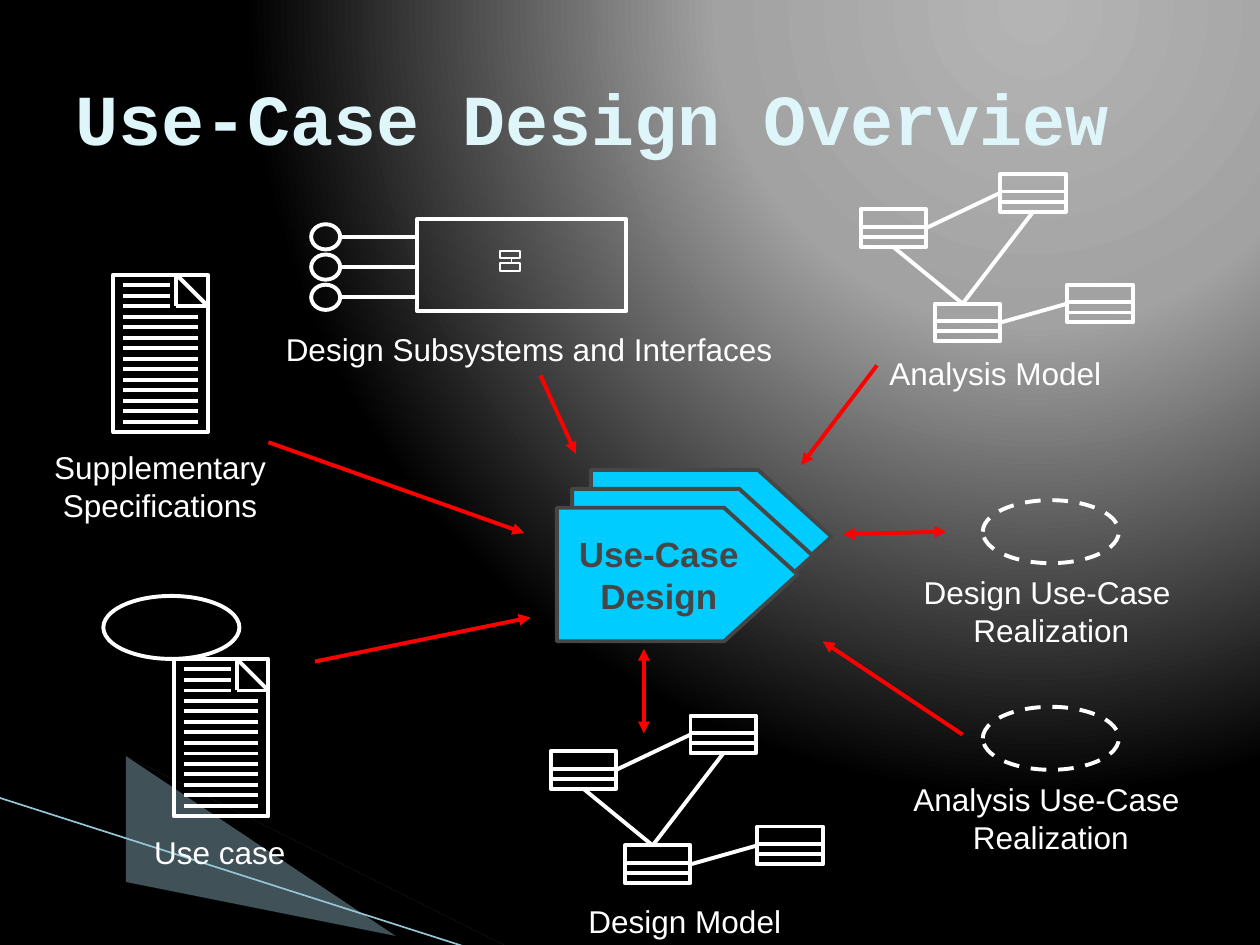
from pptx import Presentation
from pptx.dml.color import RGBColor
from pptx.enum.dml import MSO_LINE
from pptx.enum.shapes import MSO_CONNECTOR, MSO_SHAPE
from pptx.enum.text import MSO_ANCHOR, PP_ALIGN
from pptx.oxml import parse_xml
from pptx.oxml.ns import nsdecls, qn
from pptx.util import Inches, Pt

STRAIGHT = MSO_CONNECTOR.STRAIGHT
RECTANGLE, OVAL, PENTAGON = MSO_SHAPE.RECTANGLE, MSO_SHAPE.OVAL, MSO_SHAPE.PENTAGON
DASH = MSO_LINE.DASH
MIDDLE, TOP = MSO_ANCHOR.MIDDLE, MSO_ANCHOR.TOP
CENTER, LEFT = PP_ALIGN.CENTER, PP_ALIGN.LEFT
TOP_SIDE, LEFT_SIDE, BOTTOM_SIDE, RIGHT_SIDE = range(4)

WHITE = RGBColor(0xFF, 0xFF, 0xFF)
BLACK = RGBColor(0, 0, 0)
RED = RGBColor(0xFF, 0, 0)
CYAN = RGBColor(0, 0xCC, 0xFF)
GRAY = RGBColor(0x46, 0x46, 0x46)
PALE_BLUE = RGBColor(0xDE, 0xF5, 0xFA)
BAND_BLUE = RGBColor(0xA0, 0xCB, 0xDC)
EDGE_BLUE = RGBColor(0x97, 0xC5, 0xD8)

LABEL_FONT = {"name": "Arial", "size": Pt(18), "bold": False}
PROCESS_FONT = {"name": "Arial", "size": Pt(20), "bold": True}
TITLE_FONT = {"name": "Courier New", "size": Pt(41), "bold": True}
STROKE = 2.25


def set_background(slide):
    slide.background.fill.gradient()
    gradient = slide.element.find(".//" + qn("a:gradFill"))
    stops = "".join(
        f'<a:gs pos="{position * 1000}"><a:srgbClr val="{color}"/></a:gs>'
        for position, color in ((0, "B4B4B4"), (40, "A2A2A2"), (100, "000000")))
    gradient.getparent().replace(gradient, parse_xml(
        f'<a:gradFill {nsdecls("a")} rotWithShape="1"><a:gsLst>{stops}</a:gsLst>'
        '<a:path path="circle"><a:fillToRect l="65000" t="0" r="0" b="98000"/></a:path>'
        '</a:gradFill>'))


def style_shape(shape, fill, line, width):
    shape.shadow.inherit = False
    if fill is None:
        shape.fill.background()
    else:
        shape.fill.solid()
        shape.fill.fore_color.rgb = fill
    if line is None:
        shape.line.fill.background()
    else:
        shape.line.color.rgb = line
        shape.line.width = Pt(width)


def add_box(shapes, kind, left, top, width, height, fill=None, line=WHITE, stroke=STROKE):
    shape = shapes.add_shape(kind, Inches(left), Inches(top), Inches(width), Inches(height))
    style_shape(shape, fill, line, stroke)
    return shape


def add_outline(shapes, points, close, fill=None, line=None, stroke=1):
    builder = shapes.build_freeform(*points[0], scale=Inches(1))
    builder.add_line_segments(points[1:], close=close)
    shape = builder.convert_to_shape()
    style_shape(shape, fill, line, stroke)
    return shape


def add_line(shapes, start, end, color=WHITE, stroke=STROKE, arrows=()):
    connector = shapes.add_connector(STRAIGHT, *(Inches(value) for value in start + end))
    connector.line.color.rgb = color
    connector.line.width = Pt(stroke)
    properties = connector.element.spPr
    for arrow in arrows:
        properties.find(qn("a:ln")).append(
            parse_xml(f'<a:{arrow} {nsdecls("a")} type="triangle"/>'))
    properties.append(parse_xml(f'<a:effectLst {nsdecls("a")}/>'))
    return connector


def write_text(shape, lines, font, color, anchor=TOP, alignment=CENTER, wrap=False):
    frame = shape.text_frame
    frame.word_wrap = wrap
    frame.vertical_anchor = anchor
    frame.text = "\n".join(lines)
    for paragraph in frame.paragraphs:
        paragraph.alignment = alignment
        for name, value in font.items():
            setattr(paragraph.font, name, value)
        paragraph.font.color.rgb = color


def add_label(shapes, left, top, width, *lines):
    height = 0.1 + 0.3 * len(lines)
    box = shapes.add_textbox(Inches(left), Inches(top), Inches(width), Inches(height))
    write_text(box, lines, LABEL_FONT, WHITE)


def add_document(shapes, left, top):
    width, height, fold, rows = 0.75, 1.25, 0.25, 14
    right, crease = left + width, left + width - fold
    add_box(shapes, RECTANGLE, left, top, width, height)
    # Folded corner
    add_line(shapes, (crease, top), (right, top + fold))
    add_line(shapes, (crease, top), (crease, top + fold))
    add_line(shapes, (right, top + fold), (crease, top + fold))
    # Lines of writing, the first three stopping short of the fold
    for row in range(1, rows + 1):
        y = top + row * height / (rows + 1)
        end = crease - 0.05 if row <= 3 else right - 0.08
        add_line(shapes, (left + 0.08, y), (end, y))


def add_class_model(shapes, left, top):
    width, height = 0.52, 0.3
    classes = []
    for x, y in ((0, 0.28), (1.11, 0), (0.59, 1.03), (1.64, 0.88)):
        x, y = left + x, top + y
        classes.append(add_box(shapes, RECTANGLE, x, y, width, height))
        for offset in (0.14, 0.22):
            add_line(shapes, (x, y + offset), (x + width, y + offset))
    first, second, third, fourth = classes
    # Associations
    for source, target in ((first, second), (third, fourth)):
        connector = add_line(shapes, (left, top), (left, top))
        connector.begin_connect(source, RIGHT_SIDE)
        connector.end_connect(target, LEFT_SIDE)
    for target in (first, second):
        junction = (left + 0.81, top + 1.03)
        add_line(shapes, junction, junction).end_connect(target, BOTTOM_SIDE)


def add_realization(shapes, top, label_left, label_width, name):
    add_box(shapes, OVAL, 7.8, top, 1.08, 0.5).line.dash_style = DASH
    add_label(shapes, label_left, top + 0.53, label_width, name + " ", "Realization")


def add_subsystem(shapes):
    add_box(shapes, RECTANGLE, 3.31, 1.74, 1.66, 0.73)
    for row in range(3):
        y = 1.88 + 0.24 * row
        add_box(shapes, OVAL, 2.47, y - 0.1, 0.23, 0.2)
        add_line(shapes, (2.7, y), (3.31, y))
    # Component icon
    for y in (1.99, 2.09):
        add_box(shapes, RECTANGLE, 3.97, y, 0.16, 0.06, stroke=1)
    add_outline(shapes, [(4.05, 1.99), (4.05, 1.95), (4.29, 1.95), (4.29, 2.19),
                         (4.06, 2.19), (4.06, 2.16)], False, line=WHITE)
    add_line(shapes, (4.06, 2.05), (4.06, 2.08), stroke=1)
    add_label(shapes, 2.17, 2.57, 4.06, "Design Subsystems and Interfaces")


def add_corner_bands(shapes):
    band = add_outline(shapes, [(0.55, 6.51), (5.95, 7.51), (4.56, 7.51), (0.55, 6.5)],
                       True, BAND_BLUE)
    color = band.element.spPr.find(qn("a:solidFill")).find(qn("a:srgbClr"))
    color.append(parse_xml(f'<a:alpha {nsdecls("a")} val="40000"/>'))
    add_outline(shapes, [(0.53, 6.49), (4.57, 7.51), (3.72, 7.52), (0.54, 6.5)], True, BLACK)
    add_line(shapes, (-0.01, 6.33), (3.71, 7.52), EDGE_BLUE, 0.95)


def main():
    presentation = Presentation()
    presentation.slide_width, presentation.slide_height = Inches(10), Inches(7.5)
    slide = presentation.slides.add_slide(presentation.slide_layouts[6])
    shapes = slide.shapes
    set_background(slide)
    add_corner_bands(shapes)

    # Title
    title = shapes.add_textbox(Inches(0.5), Inches(0.3), Inches(9), Inches(1.25))
    write_text(title, ["Use-Case Design Overview"], TITLE_FONT, PALE_BLUE, MIDDLE, LEFT, True)

    # Inputs on the left
    specifications = shapes.add_group_shape().shapes
    add_document(specifications, 0.9, 2.18)
    add_label(specifications, 0.33, 3.51, 1.88, "Supplementary", "Specifications")
    use_case = shapes.add_group_shape().shapes
    add_box(use_case, OVAL, 0.82, 4.73, 1.08, 0.5)
    add_document(use_case, 1.38, 5.23)
    add_label(use_case, 0.74, 6.56, 2.01, "Use case")

    # Central process
    for left, top in ((4.69, 3.73), (4.54, 3.88), (4.42, 4.03)):
        process = add_box(shapes, PENTAGON, left, top, 1.91, 1.06, CYAN, GRAY)
        process.adjustments[0] = 0.55
    write_text(process, ["Use-Case", "Design"], PROCESS_FONT, GRAY, MIDDLE)

    # Subsystems, models and realizations
    add_subsystem(shapes.add_group_shape().shapes)
    for left, top, label_left, label_top, label_width, name in (
            (4.37, 5.68, 4.57, 7.11, 1.73, "Design Model"),
            (6.83, 1.38, 6.96, 2.76, 1.88, "Analysis Model")):
        model = shapes.add_group_shape().shapes
        add_class_model(model, left, top)
        add_label(model, label_left, label_top, label_width, name)
    for realization in ((3.97, 7.23, 2.23, "Design Use-Case"),
                        (5.61, 7.15, 2.38, "Analysis Use-Case")):
        add_realization(shapes.add_group_shape().shapes, *realization)

    # Flows into the process, then flows in both directions
    for start, end in (((2.5, 5.25), (4.21, 4.9)), ((2.13, 3.51), (4.16, 4.23)),
                       ((6.96, 2.9), (6.36, 3.69)), ((4.29, 2.98), (4.57, 3.6)),
                       ((7.64, 5.83), (6.53, 5.09))):
        add_line(shapes, start, end, RED, arrows=["tailEnd"])
    for start, end in (((6.69, 4.24), (7.51, 4.22)), ((5.11, 5.82), (5.11, 5.15))):
        add_line(shapes, start, end, RED, arrows=["headEnd", "tailEnd"])

    presentation.save("out.pptx")


if __name__ == "__main__":
    main()
